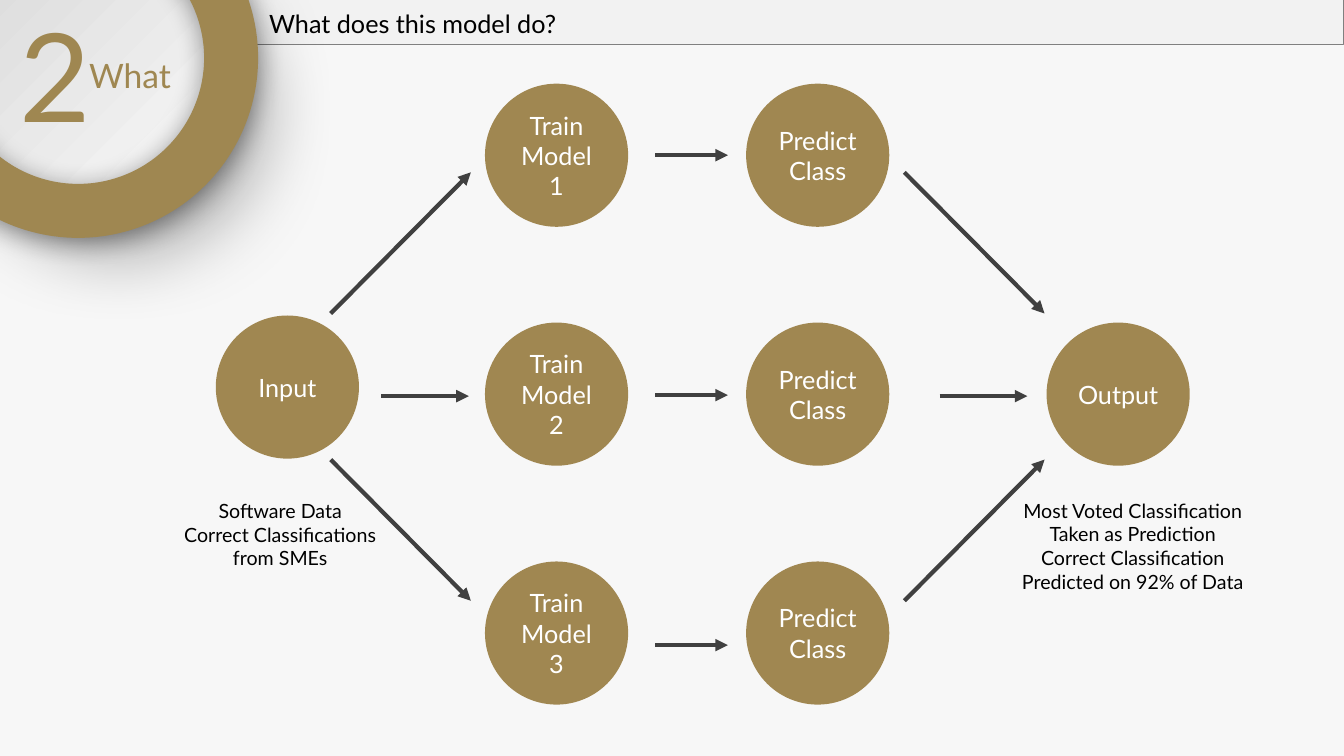
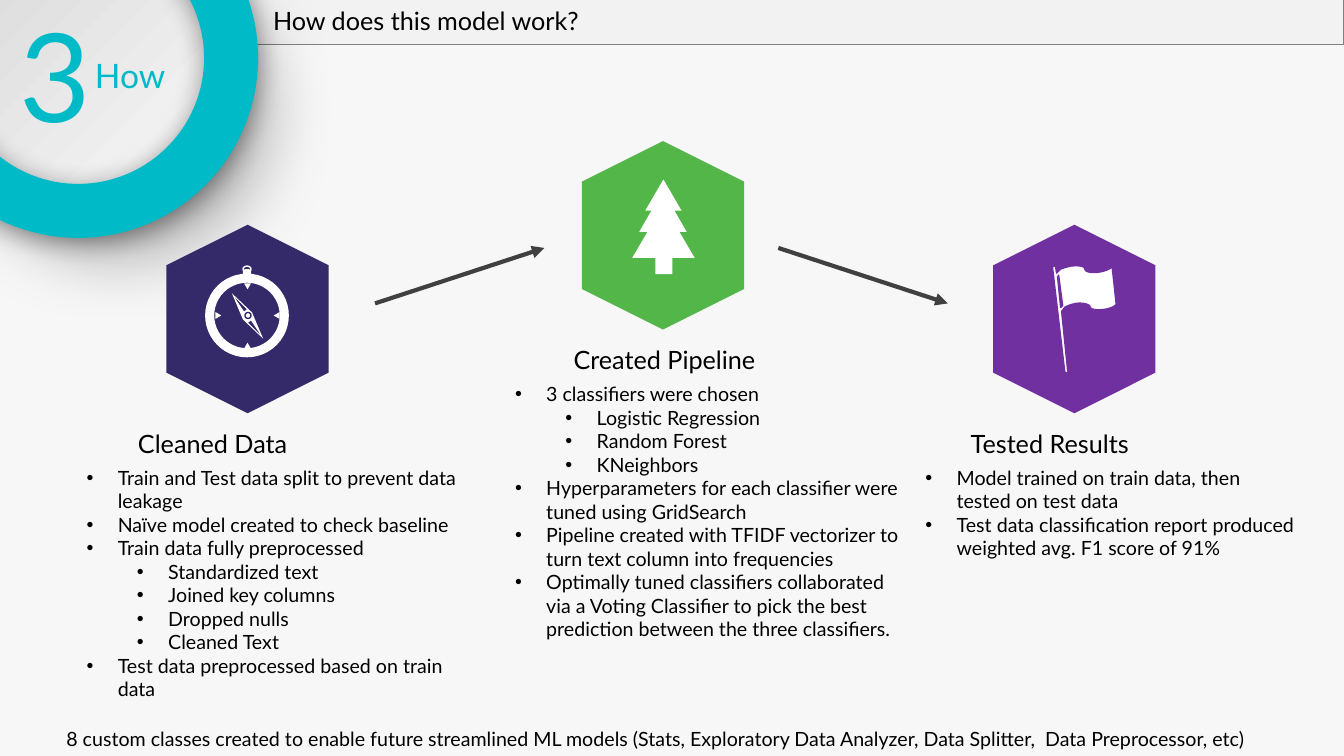
from dataclasses import dataclass
from typing import Optional

from lxml import etree
from pptx import Presentation
from pptx.dml.color import RGBColor
from pptx.enum.shapes import MSO_CONNECTOR, MSO_SHAPE
from pptx.enum.text import MSO_ANCHOR, PP_ALIGN
from pptx.oxml.ns import qn
from pptx.util import Pt

PX = 9144
WIDTH, HEIGHT = 1333, 750
FONT = "Lato"

PAPER = RGBColor(0xF7, 0xF7, 0xF7)
BAND = RGBColor(0xF2, 0xF2, 0xF2)
SILVER = RGBColor(0xD9, 0xD9, 0xD9)
GREY = RGBColor(0x80, 0x80, 0x80)
CHARCOAL = RGBColor(0x40, 0x40, 0x40)
BLACK = RGBColor(0, 0, 0)
WHITE = RGBColor(0xFF, 0xFF, 0xFF)
GOLD = RGBColor(0x9F, 0x87, 0x51)
BROWN = RGBColor(0x76, 0x50, 0x00)
TEAL = RGBColor(0x00, 0xBA, 0xC8)
NAVY = RGBColor(0x34, 0x2A, 0x69)
GREEN = RGBColor(0x53, 0xB6, 0x49)
PURPLE = RGBColor(0x70, 0x30, 0xA0)

RECT = MSO_SHAPE.RECTANGLE
OVAL = MSO_SHAPE.OVAL
DONUT = MSO_SHAPE.DONUT
HEXAGON = MSO_SHAPE.HEXAGON
TRIANGLE = MSO_SHAPE.ISOSCELES_TRIANGLE
DOME = MSO_SHAPE.ROUND_2_SAME_RECTANGLE
STRAIGHT = MSO_CONNECTOR.STRAIGHT
LEFT, CENTER = PP_ALIGN.LEFT, PP_ALIGN.CENTER
TOP, MIDDLE = MSO_ANCHOR.TOP, MSO_ANCHOR.MIDDLE


@dataclass(frozen=True)
class Box:
    x: int
    y: int
    w: int
    h: int


@dataclass(frozen=True)
class Frame:
    accent: RGBColor
    number: str
    word: str
    title: str
    title_x: int
    title_y: int


@dataclass(frozen=True)
class Node:
    x: int
    y: int
    lines: tuple[str, ...]


@dataclass(frozen=True)
class Arrow:
    x1: int
    y1: int
    x2: int
    y2: int


@dataclass(frozen=True)
class Step:
    color: RGBColor
    x: int
    y: int
    title: str
    title_x: int
    body_x: int
    body_w: int
    bullets: tuple[tuple[int, str], ...]


TRAIN_X, PREDICT_X = 481, 740
ROWS = (83, 320, 557)
NODE = 142
NODES = [
    Node(214, 313, ("Input",)),
    *(Node(TRAIN_X, y, ("Train", f"Model {i}")) for i, y in enumerate(ROWS, 1)),
    *(Node(PREDICT_X, y, ("Predict Class",)) for y in ROWS),
    Node(1038, 320, ("Output",)),
]
FLOW = [
    Arrow(328, 311, 467, 171), Arrow(328, 456, 467, 596), Arrow(378, 393, 465, 393),
    Arrow(897, 171, 1036, 311), Arrow(897, 596, 1036, 456), Arrow(932, 393, 1019, 393),
    *(Arrow(650, y, 722, y) for y in (154, 392, 640)),
]
NOTES = [
    (Box(161, 490, 234, 81), ("Software Data", "Correct Classifications from SMEs")),
    (Box(984, 490, 279, 104), ("Most Voted Classification Taken as Prediction",
                               "Correct Classification Predicted on 92% of Data")),
]

STEPS = [
    Step(NAVY, 152, 236, "Cleaned Data", 127, 76, 398, (
        (0, "Train and Test data split to prevent data leakage"),
        (0, "Naïve model created to check baseline"),
        (0, "Train data fully preprocessed"),
        (1, "Standardized text"),
        (1, "Joined key columns"),
        (1, "Dropped nulls"),
        (1, "Cleaned Text"),
        (0, "Test data preprocessed based on train data"))),
    Step(GREEN, 564, 153, "Created Pipeline", 559, 501, 410, (
        (0, "3 classifiers were chosen"),
        (1, "Logistic Regression"),
        (1, "Random Forest"),
        (1, "KNeighbors"),
        (0, "Hyperparameters for each classifier were tuned using GridSearch"),
        (0, "Pipeline created with TFIDF vectorizer to turn text column into frequencies"),
        (0, "Optimally tuned classifiers collaborated via a Voting Classifier to pick "
            "the best prediction between the three classifiers."))),
    Step(PURPLE, 972, 236, "Tested Results", 953, 908, 389, (
        (0, "Model trained on train data, then tested on test data"),
        (0, "Test data classification report produced weighted avg. F1 score of 91%"))),
]
STEP_ARROWS = [Arrow(372, 301, 540, 246), Arrow(772, 246, 940, 301)]
FOOTNOTE = ("8 custom classes created to enable future streamlined ML models (Stats, "
            "Exploratory Data Analyzer, Data Splitter,  Data Preprocessor, etc)")

NEEDLE = [
    [(230, 291), (238, 310), (241, 317), (261, 336), (250, 310)],
    [(249, 318), (259, 333), (246, 320)],
    [(232, 294), (245, 307), (242, 309)],
]
FLAG = [
    [(1103, 264), (1107, 301), (1108, 303, 1102, 306, 1095, 307),
     (1087, 308, 1081, 307, 1081, 304), (1081, 302, 1074, 300, 1067, 301),
     (1063, 302, 1059, 303, 1056, 305), (1053, 309), (1059, 368),
     (1060, 369, 1059, 370, 1058, 370), (1057, 370, 1056, 369, 1056, 368),
     (1044, 266), (1044, 265, 1044, 264, 1045, 264), (1046, 264, 1047, 264, 1047, 265),
     (1048, 271), (1052, 267), (1054, 266, 1058, 265, 1062, 264),
     (1070, 263, 1076, 264, 1076, 267), (1076, 270, 1083, 271, 1090, 270),
     (1097, 269, 1103, 266, 1103, 264)],
    [(1050, 273), (1049, 275), (1052, 305), (1054, 303)],
]


def paint(sp, fill: Optional[RGBColor], line: Optional[RGBColor] = None, width: float = 1) -> None:
    sp.shadow.inherit = False
    if fill is None:
        sp.fill.background()
    else:
        sp.fill.solid()
        sp.fill.fore_color.rgb = fill
    if line is None:
        sp.line.fill.background()
    else:
        sp.line.color.rgb = line
        sp.line.width = Pt(width)


def add_shape(slide, kind, box: Box, fill: Optional[RGBColor], line: Optional[RGBColor] = None,
              width: float = 1, rotation: int = 0):
    sp = slide.shapes.add_shape(kind, box.x * PX, box.y * PX, box.w * PX, box.h * PX)
    sp.rotation = rotation
    paint(sp, fill, line, width)
    return sp


def cast_shadow(sp, blur: int, dist: int, angle: int) -> None:
    effects = sp._element.spPr.find(qn("a:effectLst"))
    shadow = etree.SubElement(effects, qn("a:outerShdw"), blurRad=str(Pt(blur)),
                              dist=str(Pt(dist)), dir=str(angle * 60000),
                              algn="ctr", rotWithShape="0")
    color = etree.SubElement(shadow, qn("a:srgbClr"), val=str(BLACK))
    etree.SubElement(color, qn("a:alpha"), val="40000")


def add_run(p, text: str, size: int, color: RGBColor, align=LEFT) -> None:
    p.alignment = align
    r = p.add_run()
    r.text = text
    r.font.name = FONT
    r.font.size = Pt(size)
    r.font.color.rgb = color


def write(tf, lines: tuple[str, ...], size: int, color: RGBColor, align=LEFT, anchor=TOP) -> None:
    tf.word_wrap = True
    tf.vertical_anchor = anchor
    for i, text in enumerate(lines):
        add_run(tf.add_paragraph() if i else tf.paragraphs[0], text, size, color, align)


def add_text(slide, box: Box, lines: tuple[str, ...], size: int, color: RGBColor = BLACK,
             align=LEFT, anchor=TOP):
    tb = slide.shapes.add_textbox(box.x * PX, box.y * PX, box.w * PX, box.h * PX)
    write(tb.text_frame, lines, size, color, align, anchor)
    return tb.text_frame


def add_bullets(slide, box: Box, bullets: tuple[tuple[int, str], ...]) -> None:
    tf = add_text(slide, box, tuple(text for _, text in bullets), 14)
    for p, (level, _) in zip(tf.paragraphs, bullets):
        p.level = level
        pPr = p._p.get_or_add_pPr()
        pPr.set("marL", str((31 + 50 * level) * PX))
        pPr.set("indent", str(-31 * PX))
        etree.SubElement(pPr, qn("a:buFont"), typeface="Arial")
        etree.SubElement(pPr, qn("a:buChar"), char="•")


def add_arrow(slide, a: Arrow) -> None:
    cn = slide.shapes.add_connector(STRAIGHT, a.x1 * PX, a.y1 * PX, a.x2 * PX, a.y2 * PX)
    cn.line.color.rgb = CHARCOAL
    cn.line.width = Pt(3)
    etree.SubElement(cn.line._get_or_add_ln(), qn("a:tailEnd"), type="triangle")
    etree.SubElement(cn._element.spPr, qn("a:effectLst"))


def flatten(contour: list[tuple[int, ...]], steps: int = 6) -> list[tuple[float, float]]:
    points: list[tuple[float, float]] = []
    for seg in contour:
        if len(seg) == 2:
            points.append((seg[0] * PX, seg[1] * PX))
            continue
        start = points[-1]
        for i in range(1, steps + 1):
            t = i / steps
            u = 1 - t
            points.append(tuple(
                u**3 * start[k] + PX * (3 * u * u * t * seg[k] + 3 * u * t * t * seg[k + 2]
                                        + t**3 * seg[k + 4]) for k in (0, 1)))
    return points


def add_outline(slide, contours: list[list[tuple[int, ...]]], line: Optional[RGBColor] = None) -> None:
    first, *rest = [flatten(c) for c in contours]
    fb = slide.shapes.build_freeform(*first[0])
    fb.add_line_segments(first[1:], close=True)
    for points in rest:
        fb.move_to(*points[0])
        fb.add_line_segments(points[1:], close=True)
    paint(fb.convert_to_shape(), WHITE, line)


def add_frame(prs, frame: Frame):
    slide = prs.slides.add_slide(prs.slide_layouts[6])
    slide.background.fill.solid()
    slide.background.fill.fore_color.rgb = PAPER
    add_shape(slide, RECT, Box(0, 0, WIDTH, 44), BAND, GREY, 0.75)
    disc = add_shape(slide, OVAL, Box(-53, -63, 275, 275), BAND)
    disc.fill.gradient()
    disc.fill.gradient_angle = 315
    for stop, color, position in zip(disc.fill.gradient_stops, (SILVER, BAND), (0.06, 0.78)):
        stop.color.rgb = color
        stop.position = position
    cast_shadow(disc, 58, 34, 45)
    add_text(slide, Box(frame.title_x, frame.title_y, 666, 40), (frame.title,), 18)
    for box, text, size in ((Box(19, -6, 72, 158), frame.number, 88),
                            (Box(78, 49, 102, 50), frame.word, 24)):
        tf = add_text(slide, box, (text,), size, frame.accent, CENTER, MIDDLE)
        tf.margin_left = tf.margin_right = 0
    ring = add_shape(slide, DONUT, Box(-101, -121, 357, 357), frame.accent)
    ring.adjustments[0] = 0.15
    cast_shadow(ring, 19, 3, 90)
    return slide


def add_node(slide, node: Node) -> None:
    sp = add_shape(slide, OVAL, Box(node.x, node.y, NODE, NODE), BROWN)
    color = sp._element.spPr.find(qn("a:solidFill")).find(qn("a:srgbClr"))
    etree.SubElement(color, qn("a:alpha"), val="67000")
    write(sp.text_frame, node.lines, 18, WHITE, CENTER, MIDDLE)


def add_step(slide, step: Step) -> None:
    add_text(slide, Box(step.title_x, step.y + 184, 263, 40), (step.title,), 18)
    add_bullets(slide, Box(step.body_x, step.y + 221, step.body_w, 293), step.bullets)
    add_shape(slide, HEXAGON, Box(step.x, step.y, 187, 161), step.color, rotation=90)


def add_compass(slide) -> None:
    add_shape(slide, OVAL, Box(241, 264, 8, 6), None, WHITE)
    add_shape(slide, OVAL, Box(208, 276, 74, 74), None, WHITE, 6.5)
    for x, y, turn in ((242, 340, 0), (213, 310, 90), (242, 281, 180), (271, 310, 270)):
        add_shape(slide, TRIANGLE, Box(x, y, 7, 6), WHITE, rotation=turn)
    add_shape(slide, DOME, Box(241, 267, 8, 5), WHITE).adjustments[0] = 0.5
    add_outline(slide, NEEDLE)
    add_shape(slide, OVAL, Box(243, 310, 6, 6), WHITE, NAVY)


def add_tree(slide) -> None:
    for box in (Box(640, 178, 36, 31), Box(634, 189, 47, 41), Box(627, 203, 62, 53)):
        add_shape(slide, TRIANGLE, box, WHITE)
    add_shape(slide, RECT, Box(650, 247, 17, 25), WHITE)


def main() -> None:
    prs = Presentation()
    prs.slide_width, prs.slide_height = WIDTH * PX, HEIGHT * PX

    what = add_frame(prs, Frame(GOLD, "2", "What", "What does this model do?", 257, 3))
    for node in NODES:
        add_node(what, node)
    for box, lines in NOTES:
        add_text(what, box, lines, 14, align=CENTER)
    for arrow in FLOW:
        add_arrow(what, arrow)

    how = add_frame(prs, Frame(TEAL, "3", "How", "How does this model work?", 261, 0))
    for step in STEPS:
        add_step(how, step)
    add_compass(how)
    add_tree(how)
    add_outline(how, FLAG, PURPLE)
    for arrow in STEP_ARROWS:
        add_arrow(how, arrow)
    add_text(how, Box(56, 716, 1270, 34), (FOOTNOTE,), 14)
    prs.save("out.pptx")


if __name__ == "__main__":
    main()
